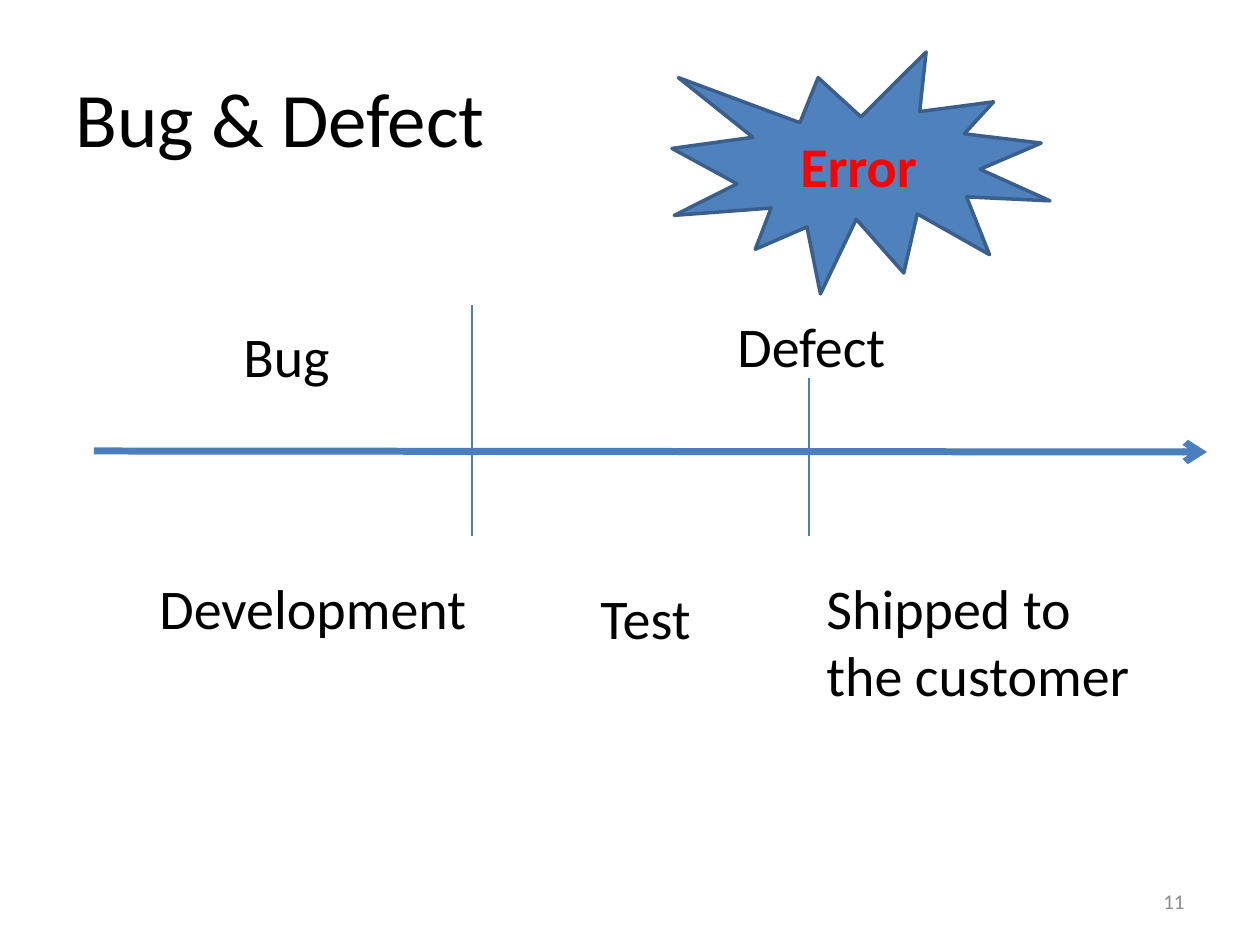
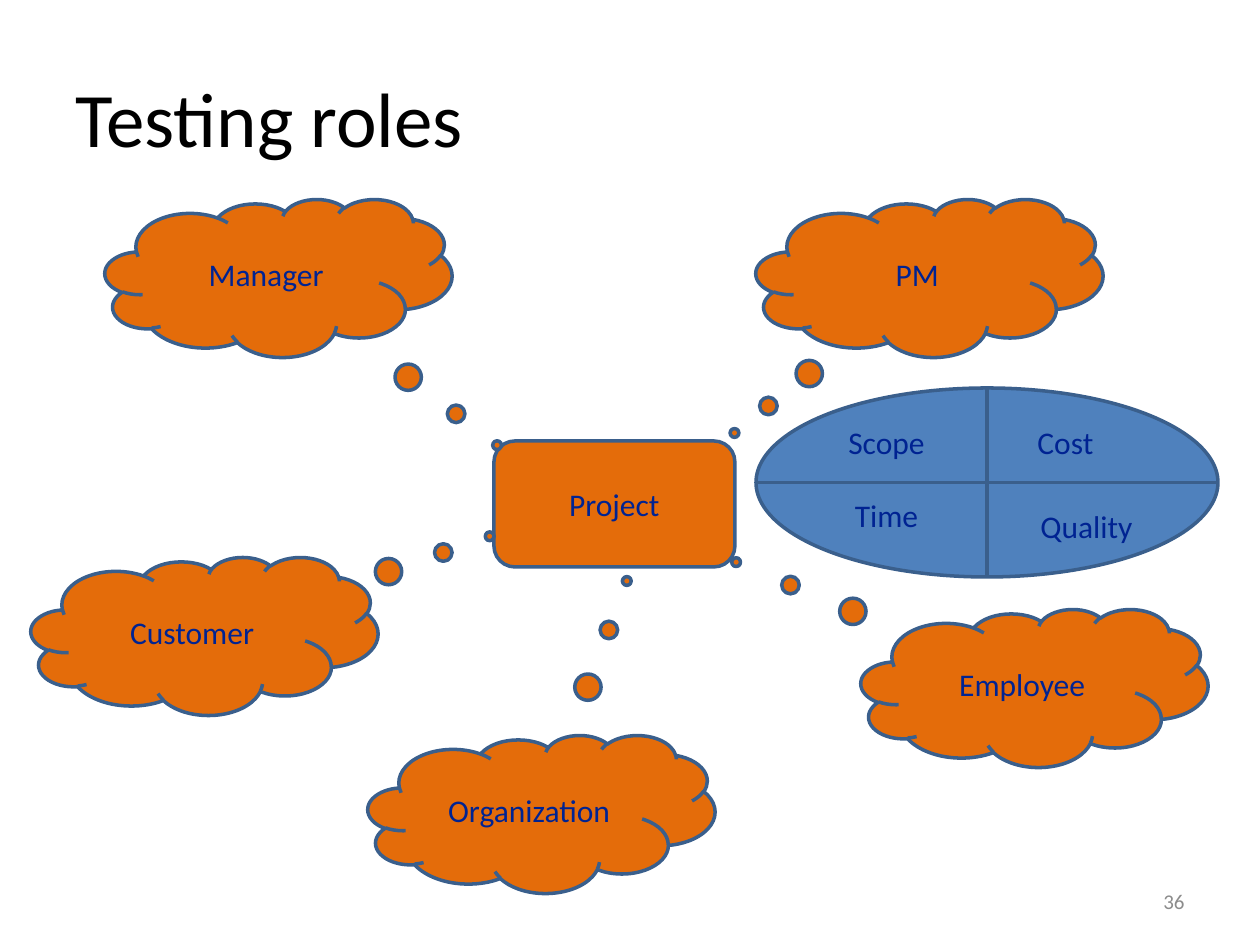
"""Build two slides on software testing: a defect timeline and the roles around a project."""
import dataclasses
import typing

import lxml.etree
import pptx
import pptx.dml.color
import pptx.enum.shapes
import pptx.enum.text
import pptx.oxml.ns
import pptx.slide
import pptx.util

Kind = pptx.enum.shapes.MSO_SHAPE
Align = pptx.enum.text.PP_ALIGN
Anchor = pptx.enum.text.MSO_ANCHOR
RGB = pptx.dml.color.RGBColor.from_string
EMU_PER_PIXEL = 914400 / 126


@dataclasses.dataclass(frozen=True)
class Theme:
    font: str = "Calibri"
    black: str = "000000"
    grey: str = "8C8C8C"
    red: str = "FF0000"
    navy: str = "002392"
    blue: str = "4F81BD"
    orange: str = "E46C0A"
    outline: str = "3A5F8C"
    axis: str = "4B7EBC"
    title_size: int = 44
    label_size: int = 32
    role_size: int = 18
    number_size: int = 12
    outline_width: int = 2


THEME = Theme()


@dataclasses.dataclass(frozen=True)
class Box:
    left: int
    top: int
    width: int
    height: int

    def emu(self) -> tuple[pptx.util.Emu, ...]:
        return tuple(pixels(value) for value in dataclasses.astuple(self))


@dataclasses.dataclass(frozen=True)
class Style:
    size: int
    color: str
    align: Align = Align.LEFT
    bold: bool = False


@dataclasses.dataclass(frozen=True)
class Label:
    lines: tuple[str, ...]
    box: Box


@dataclasses.dataclass(frozen=True)
class Line:
    start: tuple[int, int]
    end: tuple[int, int]
    width: float = 0.75
    arrow: bool = False


@dataclasses.dataclass(frozen=True)
class Role:
    name: str
    left: int
    top: int
    pointer: tuple[float, float]


TITLE_BOX = Box(63, 38, 1134, 157)
NUMBER_BOX = Box(903, 876, 294, 50)
TITLE = Style(THEME.title_size, THEME.black)
LABEL = Style(THEME.label_size, THEME.black)
ERROR = Style(THEME.label_size, THEME.red, Align.CENTER, True)
ROLE = Style(THEME.role_size, THEME.navy, Align.CENTER)
NUMBER = Style(THEME.number_size, THEME.grey, Align.RIGHT)

TIMELINE = (
    Line((94, 451), (1207, 452), 4, True),
    Line((472, 305), (472, 536)),
    Line((809, 378), (809, 536)),
)
STAGES = (
    Label(("Development",), Box(147, 567, 335, 81)),
    Label(("Test",), Box(588, 577, 116, 81)),
    Label(("Shipped to ", "the customer"), Box(814, 567, 331, 149)),
    Label(("Bug ",), Box(231, 315, 126, 81)),
    Label(("Defect",), Box(725, 305, 175, 81)),
)

CLOUD_SIZE = (347, 158)
ROLES = (
    Role("PM", 756, 199, (-0.562, 0.981)),
    Role("Manager", 105, 199, (0.63, 1.058)),
    Role("Customer", 31, 557, (0.822, -0.631)),
    Role("Employee", 861, 609, (-0.86, -0.797)),
    Role("Organization", 368, 735, (0.246, -1.475)),
)
GOAL_SIZE = (199, 63)
GOALS = (
    ("Scope", 787, 410),
    ("Cost", 966, 410),
    ("Quality", 987, 494),
    ("Time", 787, 483),
)


def pixels(value: float) -> pptx.util.Emu:
    return pptx.util.Emu(round(value * EMU_PER_PIXEL))


def write(frame: typing.Any, lines: tuple[str, ...], style: Style) -> None:
    for index, words in enumerate(lines):
        para = frame.add_paragraph() if index else frame.paragraphs[0]
        para.alignment = style.align
        span = para.add_run()
        span.text = words
        span.font.name = THEME.font
        span.font.size = pptx.util.Pt(style.size)
        span.font.bold = style.bold
        span.font.color.rgb = RGB(style.color)


def add_page(deck: typing.Any, title: str, number: int) -> pptx.slide.Slide:
    page = deck.slides.add_slide(deck.slide_layouts[5])
    heading = page.shapes.title
    heading.left, heading.top, heading.width, heading.height = TITLE_BOX.emu()
    heading.text_frame.vertical_anchor = Anchor.MIDDLE
    write(heading.text_frame, (title,), TITLE)
    frame = page.shapes.add_textbox(*NUMBER_BOX.emu()).text_frame
    frame.word_wrap = True
    frame.vertical_anchor = Anchor.MIDDLE
    write(frame, (str(number),), NUMBER)
    return page


def add_label(page: pptx.slide.Slide, label: Label) -> None:
    frame = page.shapes.add_textbox(*label.box.emu()).text_frame
    frame.word_wrap = False
    frame.auto_size = pptx.enum.text.MSO_AUTO_SIZE.SHAPE_TO_FIT_TEXT
    write(frame, label.lines, LABEL)


def add_line(page: pptx.slide.Slide, line: Line) -> None:
    ends = (pixels(value) for value in line.start + line.end)
    connector = page.shapes.add_connector(pptx.enum.shapes.MSO_CONNECTOR.STRAIGHT, *ends)
    connector.line.color.rgb = RGB(THEME.axis)
    connector.line.width = pptx.util.Pt(line.width)
    qualified = pptx.oxml.ns.qn
    properties = connector.element.spPr
    if line.arrow:
        stroke = properties.find(qualified("a:ln"))
        lxml.etree.SubElement(stroke, qualified("a:tailEnd"), type="arrow")
    lxml.etree.SubElement(properties, qualified("a:effectLst"))


def add_figure(shapes: typing.Any, kind: Kind, box: Box, fill: str | None = None,
               words: str = "", style: Style = ROLE) -> typing.Any:
    figure = shapes.add_shape(kind, *box.emu())
    figure.shadow.inherit = False
    if fill:
        figure.fill.solid()
        figure.fill.fore_color.rgb = RGB(fill)
        figure.line.color.rgb = RGB(THEME.outline)
        figure.line.width = pptx.util.Pt(THEME.outline_width)
    else:
        figure.fill.background()
        figure.line.fill.background()
    if words:
        figure.text_frame.vertical_anchor = Anchor.MIDDLE
        write(figure.text_frame, (words,), style)
    return figure


def build_timeline(deck: typing.Any) -> None:
    page = add_page(deck, "Bug & Defect", 11)
    for line in TIMELINE:
        add_line(page, line)
    for stage in STAGES:
        add_label(page, stage)
    add_figure(page.shapes, Kind.EXPLOSION1, Box(672, 52, 378, 242), THEME.blue, "Error", ERROR)


def build_roles(deck: typing.Any) -> None:
    page = add_page(deck, "Testing roles", 36)
    shapes = page.shapes.add_group_shape().shapes
    rounded = Kind.FLOWCHART_ALTERNATE_PROCESS
    add_figure(shapes, rounded, Box(494, 441, 241, 126), THEME.orange, "Project")
    for role in ROLES:
        cloud = add_figure(shapes, Kind.CLOUD_CALLOUT, Box(role.left, role.top, *CLOUD_SIZE),
                           THEME.orange, role.name)
        for index, offset in enumerate(role.pointer):
            cloud.adjustments[index] = offset
    add_figure(shapes, Kind.FLOWCHART_OR, Box(756, 388, 462, 189), THEME.blue)
    for name, left, top in GOALS:
        add_figure(shapes, rounded, Box(left, top, *GOAL_SIZE), words=name)


def main() -> None:
    deck = pptx.Presentation()
    deck.slide_width, deck.slide_height = pixels(1260), pixels(945)
    build_timeline(deck)
    build_roles(deck)
    deck.save("out.pptx")


main()
